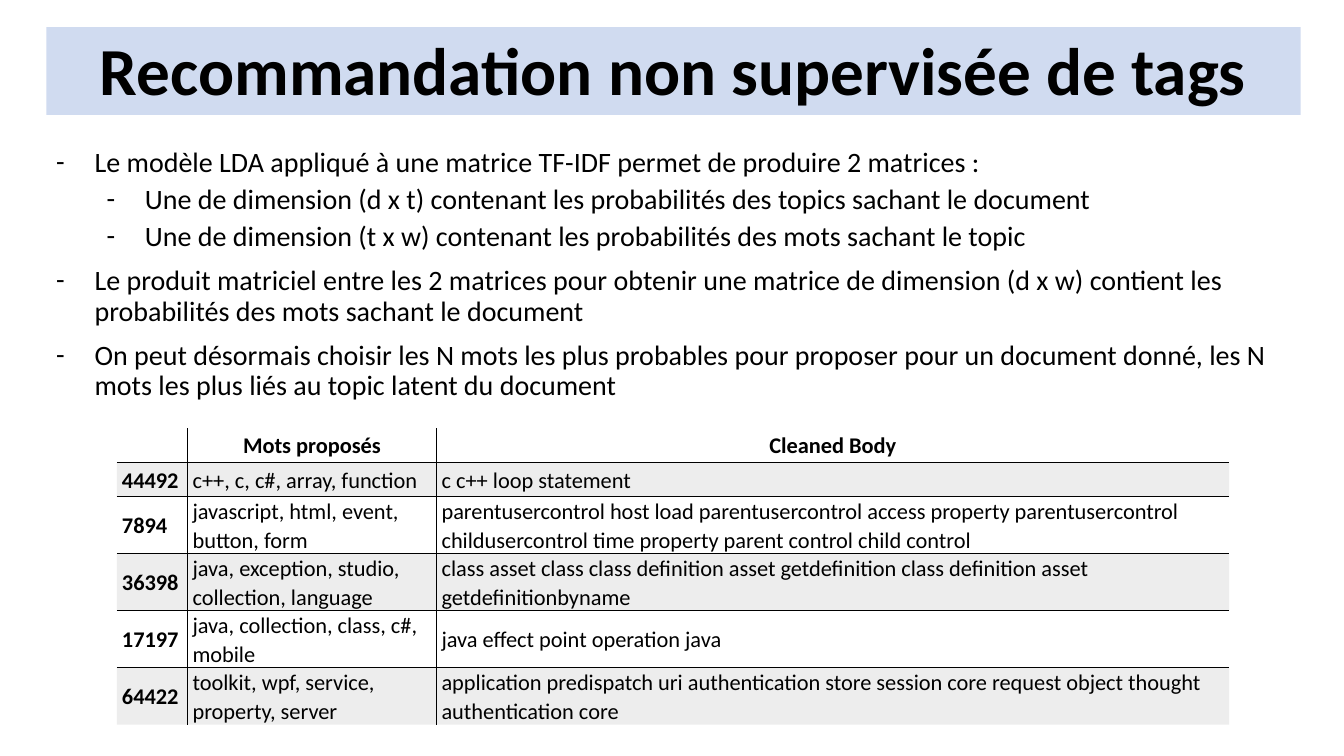
from lxml import etree
from pptx import Presentation
from pptx.dml.color import RGBColor
from pptx.enum.text import MSO_ANCHOR, MSO_AUTO_SIZE, PP_ALIGN
from pptx.oxml.ns import qn
from pptx.util import Inches, Pt

CENTER, LEFT = PP_ALIGN.CENTER, PP_ALIGN.LEFT
MIDDLE, BOTTOM = MSO_ANCHOR.MIDDLE, MSO_ANCHOR.BOTTOM
NO_AUTOFIT = MSO_AUTO_SIZE.NONE
TITLE_ONLY = 5
COLORS = {"text": "000000", "banner": "4472C4", "band": "A5A5A5", "rule": "000000"}

TITLE = "Recommandation non supervisée de tags"
POINTS = [
    (0, "Le modèle LDA appliqué à une matrice TF-IDF permet de produire 2 matrices :"),
    (1, "Une de dimension (d x t) contenant les probabilités des topics sachant le document"),
    (1, "Une de dimension (t x w) contenant les probabilités des mots sachant le topic"),
    (0, "Le produit matriciel entre les 2 matrices pour obtenir une matrice de dimension "
        "(d x w) contient les probabilités des mots sachant le document"),
    (0, "On peut désormais choisir les N mots les plus probables pour proposer pour un "
        "document donné, les N mots les plus liés au topic latent du document"),
]
ROWS = [
    ("", "Mots proposés", "Cleaned Body"),
    ("44492", "c++, c, c#, array, function", "c c++ loop statement"),
    ("7894", "javascript, html, event, button, form",
     "parentusercontrol host load parentusercontrol access property parentusercontrol "
     "childusercontrol time property parent control child control"),
    ("36398", "java, exception, studio, collection, language",
     "class asset class class definition asset getdefinition class definition asset "
     "getdefinitionbyname"),
    ("17197", "java, collection, class, c#, mobile", "java effect point operation java"),
    ("64422", "toolkit, wpf, service, property, server",
     "application predispatch uri authentication store session core request object "
     "thought authentication core"),
]


class SlideBuilder:
    def __init__(self, page, font="Calibri"):
        self.page = page
        self.font = font

    def add_span(self, para, text, size, bold=False):
        span = para.add_run()
        span.text = text
        span.font.name = self.font
        span.font.size = Pt(size)
        span.font.bold = bold
        span.font.color.rgb = RGBColor.from_string(COLORS["text"])

    def fill(self, target, color, opacity):
        """Apply a solid fill with the given opacity in percent."""
        target.fill.solid()
        target.fill.fore_color.rgb = RGBColor.from_string(COLORS[color])
        properties = target._tc.tcPr if hasattr(target, "_tc") else target._element.spPr
        tint = properties.find(qn("a:solidFill"))[0]
        etree.SubElement(tint, qn("a:alpha"), val=str(opacity * 1000))

    def title(self, text, left, top, width, height):
        box = self.page.shapes.title
        box.left, box.top = Inches(left), Inches(top)
        box.width, box.height = Inches(width), Inches(height)
        self.fill(box, "banner", 25)
        frame = box.text_frame
        frame.auto_size = NO_AUTOFIT
        frame.word_wrap = True
        frame.vertical_anchor = BOTTOM
        para = frame.paragraphs[0]
        para.alignment = CENTER
        para.line_spacing = 0.9
        para.space_before = Pt(0)
        self.add_span(para, text, 48, bold=True)

    def bullets(self, points, left, top, width, height):
        box = self.page.shapes.add_textbox(
            Inches(left), Inches(top), Inches(width), Inches(height))
        frame = box.text_frame
        frame.word_wrap = True
        for index, (level, text) in enumerate(points):
            para = frame.add_paragraph() if index else frame.paragraphs[0]
            para.level = level
            para.alignment = LEFT
            para.line_spacing = 0.9
            para.space_before = Pt(5 if level else 10)
            properties = para._p.get_or_add_pPr()
            properties.set("marL", str(Inches(0.38 + 0.5 * level)))
            properties.set("indent", str(Inches(-0.38)))
            etree.SubElement(properties, qn("a:buFont"), typeface=self.font)
            etree.SubElement(properties, qn("a:buChar"), char="-")
            self.add_span(para, text, 20)

    def borders(self, cell, drawn):
        """Rule the sides named in drawn (letters of LRTB) and clear the others."""
        properties = cell._tc.get_or_add_tcPr()
        for index, side in enumerate("LRTB"):
            line = etree.Element(qn(f"a:ln{side}"), w=str(Pt(1)))
            if side in drawn:
                paint = etree.SubElement(line, qn("a:solidFill"))
                etree.SubElement(paint, qn("a:srgbClr"), val=COLORS["rule"])
            else:
                etree.SubElement(line, qn("a:noFill"))
            properties.insert(index, line)

    def table(self, rows, left, top, widths, row_height):
        grid = self.page.shapes.add_table(
            len(rows), len(widths), Inches(left), Inches(top),
            Inches(sum(widths)), Inches(row_height * len(rows))).table
        grid.first_row = grid.horz_banding = False
        for column, width in zip(grid.columns, widths):
            column.width = Inches(width)
        for r, texts in enumerate(rows):
            grid.rows[r].height = Inches(row_height)
            for c, text in enumerate(texts):
                cell = grid.cell(r, c)
                cell.margin_left = cell.margin_right = Inches(0.05)
                cell.margin_top = cell.margin_bottom = 0
                cell.vertical_anchor = MIDDLE
                if r % 2:
                    self.fill(cell, "band", 20)
                else:
                    cell.fill.background()
                inner = {"L": c > 0, "R": c < len(widths) - 1,
                         "T": r > 0, "B": r < len(rows) - 1}
                self.borders(cell, [side for side in inner if inner[side]])
                if text:
                    para = cell.text_frame.paragraphs[0]
                    para.alignment = LEFT if r else CENTER
                    para.line_spacing = 1.06
                    self.add_span(para, text, 16, bold=r == 0 or c == 0)


def main():
    deck = Presentation()
    deck.slide_width, deck.slide_height = Inches(13.33), Inches(7.5)
    page = deck.slides.add_slide(deck.slide_layouts[TITLE_ONLY])
    builder = SlideBuilder(page)
    builder.title(TITLE, 0.46, 0.27, 12.44, 0.87)
    builder.bullets(POINTS, 0.46, 1.42, 12.44, 5.73)
    builder.table(ROWS, 1.16, 4.25, (0.7, 2.47, 7.86), 0.34)
    deck.save("out.pptx")


if __name__ == "__main__":
    main()
